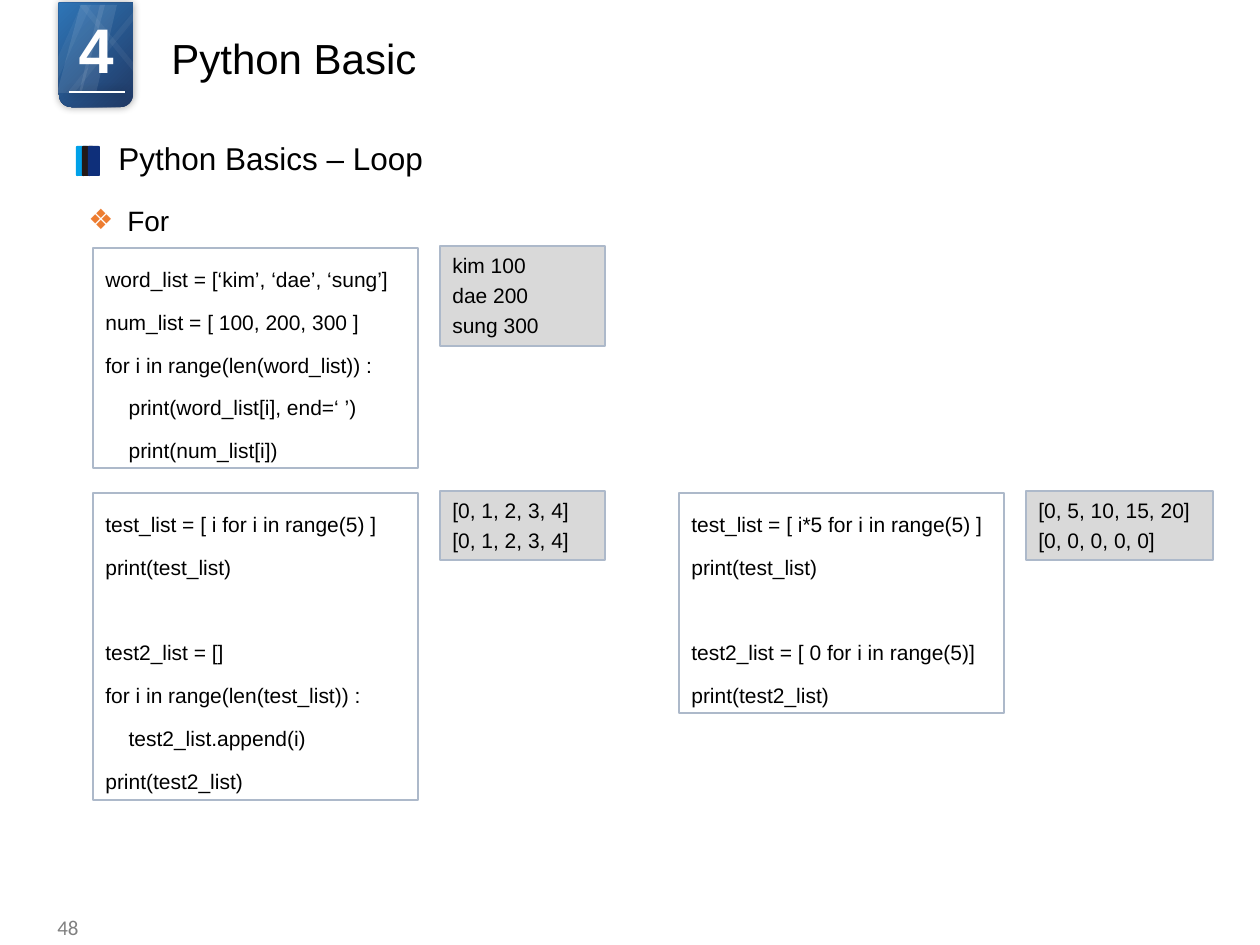
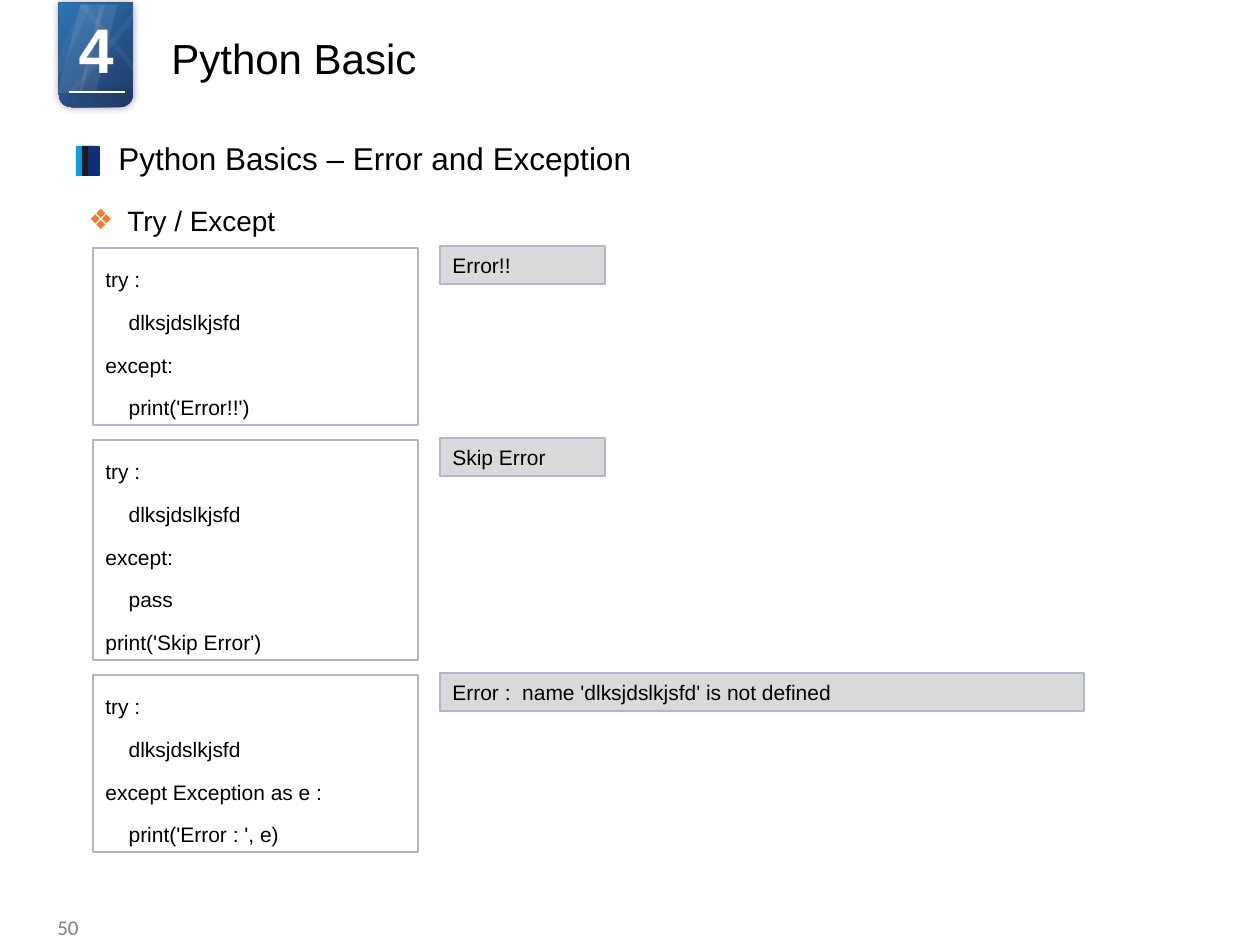
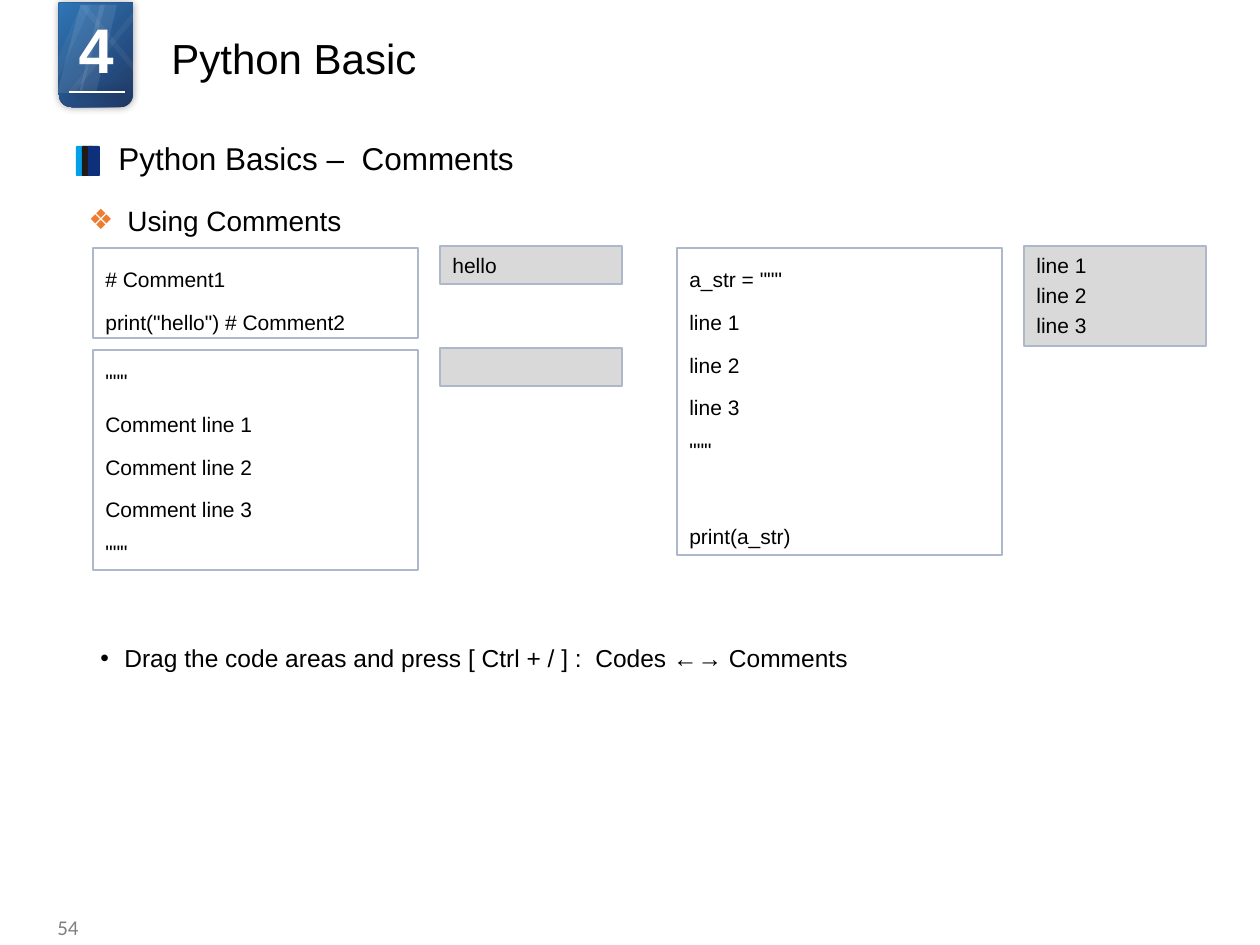
import pptx
import pptx.util
import pptx.dml.color
import pptx.enum.dml
import pptx.enum.shapes
import pptx.enum.text
import pptx.oxml.ns
from lxml import etree

CHAPTER, COURSE = "4", "Python Basic"

PAGES = [
    {
        "number": "48",
        "heading": "Python Basics – Loop",
        "topic": "For",
        "examples": [
            (93, 248, 165,
             ["word_list = [‘kim’, ‘dae’, ‘sung’]",
              "num_list = [ 100, 200, 300 ]",
              "for i in range(len(word_list)) :",
              "    print(word_list[i], end=‘ ’)",
              "    print(num_list[i])"],
             ["kim 100", "dae 200", "sung 300"]),
            (93, 493, 165,
             ["test_list = [ i for i in range(5) ]",
              "print(test_list)",
              "",
              "test2_list = []",
              "for i in range(len(test_list)) :",
              "    test2_list.append(i)",
              "print(test2_list)"],
             ["[0, 1, 2, 3, 4]", "[0, 1, 2, 3, 4]"]),
            (679, 493, 187,
             ["test_list = [ i*5 for i in range(5) ]",
              "print(test_list)",
              "",
              "test2_list = [ 0 for i in range(5)]",
              "print(test2_list)"],
             ["[0, 5, 10, 15, 20]", "[0, 0, 0, 0, 0]"]),
        ],
    },
    {
        "number": "50",
        "heading": "Python Basics – Error and Exception",
        "topic": "Try / Except",
        "examples": [
            (93, 248, 165,
             ["try :", "    dlksjdslkjsfd", "except:", "    print('Error!!')"],
             ["Error!!"]),
            (93, 440, 165,
             ["try :", "    dlksjdslkjsfd", "except:", "    pass", "print('Skip Error')"],
             ["Skip Error"]),
            (93, 675, 644,
             ["try :", "    dlksjdslkjsfd", "except Exception as e :", "    print('Error : ', e)"],
             ["Error :  name 'dlksjdslkjsfd' is not defined"]),
        ],
    },
    {
        "number": "54",
        "heading": "Python Basics –  Comments",
        "topic": "Using Comments",
        "examples": [
            (93, 248, 182, ["# Comment1", 'print("hello") # Comment2'], ["hello"]),
            (677, 248, 182,
             ['a_str = """', "line 1", "line 2", "line 3", '"""', "", "print(a_str)"],
             ["line 1", "line 2", "line 3"]),
            (93, 350, 182,
             ['"""', "Comment line 1", "Comment line 2", "Comment line 3", '"""'],
             []),
        ],
        "tip": "Drag the code areas and press [ Ctrl + / ] :  Codes ←→ Comments",
    },
]

STREAKS = [
    (57, 48, 0.49, 9, False),
    (79, 38, 0.55, 9, False),
    (67, 79, 0.91, 5, False),
    (42, 49, 0.8, 5, False),
    (79, 79, 0.91, 5, True),
]
BARS = ["00A1E9", "231916", "0E2F7A"]
BAR_LEFT, BAR_STEP = 76, 6

BORDER, OUTPUT_FILL = "ADB9CA", "D9D9D9"
CODE_WIDTH, OUTPUT_SHIFT, OUTPUT_RISE = 325, 347, 2
CODE_LINE, CODE_PAD = 43.4, 3.2
OUTPUT_LINE, OUTPUT_PAD = 31, 7

SHAPE = pptx.enum.shapes.MSO_SHAPE
ALIGN = pptx.enum.text.PP_ALIGN
ANCHOR = pptx.enum.text.MSO_ANCHOR
Pt = pptx.util.Pt
qn = pptx.oxml.ns.qn

AFTER = Pt(2.8)
STYLES = {
    "number": {"font": {"size": Pt(12), "name": "Calibri"}, "color": "808080",
               "paragraph": {"alignment": ALIGN.RIGHT},
               "frame": {"vertical_anchor": ANCHOR.MIDDLE}},
    "heading": {"font": {"size": Pt(18)}, "paragraph": {"line_spacing": 0.9},
                "frame": {"vertical_anchor": ANCHOR.MIDDLE}},
    "topic": {"font": {"size": Pt(16)}, "paragraph": {"space_after": AFTER},
              "bullet": ("❖", 39, "ED7D31")},
    "code": {"font": {"size": Pt(12)},
             "paragraph": {"line_spacing": 1.5, "space_after": AFTER, "alignment": ALIGN.LEFT}},
    "output": {"font": {"size": Pt(12)},
               "paragraph": {"space_after": AFTER, "alignment": ALIGN.LEFT}},
    "tip": {"font": {"size": Pt(14)}, "paragraph": {"line_spacing": 1.5, "space_after": AFTER},
            "bullet": ("•", 24, "000000")},
    "course": {"font": {"size": Pt(24)}},
    "chapter": {"font": {"size": Pt(36), "bold": True}, "color": "FFFFFF",
                "paragraph": {"alignment": ALIGN.CENTER}, "tracking": "-150"},
}


def px(length):
    return round(length * 914400 / 126)


def rgb(value):
    return pptx.dml.color.RGBColor.from_string(value)


def apply(target, values):
    for name, value in values.items():
        setattr(target, name, value)


def add_bullet(paragraph, mark, indent, color):
    properties = paragraph._p.get_or_add_pPr()
    properties.set("marL", str(px(indent)))
    properties.set("indent", str(-px(indent)))
    tint = etree.SubElement(properties, qn("a:buClr"))
    etree.SubElement(tint, qn("a:srgbClr"), val=color)
    etree.SubElement(properties, qn("a:buFont"), typeface="Arial")
    etree.SubElement(properties, qn("a:buChar"), char=mark)


def write(frame, lines, style):
    frame.word_wrap = True
    apply(frame, {"vertical_anchor": ANCHOR.TOP, **style.get("frame", {})})
    for index, line in enumerate(lines):
        paragraph = frame.add_paragraph() if index else frame.paragraphs[0]
        apply(paragraph, style.get("paragraph", {}))
        if "bullet" in style:
            add_bullet(paragraph, *style["bullet"])
        if not line:
            size = round(style["font"]["size"].pt * 100)
            etree.SubElement(paragraph._p, qn("a:endParaRPr"), sz=str(size))
            continue
        run = paragraph.add_run()
        run.text = line
        apply(run.font, {"name": "Arial", **style["font"]})
        run.font.color.rgb = rgb(style.get("color", "000000"))
        if "tracking" in style:
            run._r.get_or_add_rPr().set("spc", style["tracking"])


def add_text(slide, box, text, role):
    label = slide.shapes.add_textbox(*map(px, box))
    write(label.text_frame, [text], STYLES[role])


def add_block(shapes, kind, box, fill=None, line=None):
    block = shapes.add_shape(kind, *map(px, box))
    block.shadow.inherit = False
    if fill:
        block.fill.solid()
        block.fill.fore_color.rgb = rgb(fill)
    else:
        block.fill.background()
    if line:
        block.line.color.rgb = rgb(line)
        block.line.width = Pt(0.75)
    else:
        block.line.fill.background()
    return block


def add_glow(effects):
    glow = etree.SubElement(effects, qn("a:outerShdw"), blurRad=str(Pt(5)), dist="0",
                            algn="ctr", rotWithShape="0")
    tint = etree.SubElement(glow, qn("a:srgbClr"), val="000000")
    etree.SubElement(tint, qn("a:alpha"), val="40000")


def add_badge(slide):
    badge = add_block(slide.shapes, SHAPE.ROUND_2_SAME_RECTANGLE, (59, 3, 74, 104))
    badge.rotation = 180
    badge.fill.gradient()
    badge.fill.gradient_angle = 315
    for stop, (position, color) in zip(badge.fill.gradient_stops, [(0, "203864"), (1, "2E75B6")]):
        stop.position = position
        stop.color.rgb = rgb(color)
    add_glow(badge._element.spPr.find(qn("a:effectLst")))

    underline = slide.shapes.add_connector(
        pptx.enum.shapes.MSO_CONNECTOR.STRAIGHT, px(125), px(92), px(69), px(92))
    underline.line.color.rgb = rgb("FFFFFF")
    underline.line.width = Pt(1)
    add_glow(etree.SubElement(underline._element.spPr, qn("a:effectLst")))

    streaks = slide.shapes.add_group_shape()
    for left, width, slant, opacity, flipped in STREAKS:
        streak = add_block(streaks.shapes, SHAPE.PARALLELOGRAM, (left, 5, width, 88), "FFFFFF")
        streak.adjustments[0] = slant
        properties = streak._element.spPr
        tint = properties.find(qn("a:solidFill")).find(qn("a:srgbClr"))
        etree.SubElement(tint, qn("a:alpha"), val=str(opacity * 1000))
        if flipped:
            properties.find(qn("a:xfrm")).set("flipH", "1")


def add_heading_bars(slide):
    bars = slide.shapes.add_group_shape()
    for index, color in enumerate(BARS):
        box = (BAR_LEFT + index * BAR_STEP, 146, 12, 30)
        bar = add_block(bars.shapes, SHAPE.ROUNDED_RECTANGLE, box, color)
        bar.adjustments[0] = 0.1


def add_example(slide, left, top, output_width, code, output):
    code_height = round(len(code) * CODE_LINE + CODE_PAD)
    output_height = max(len(output), 1) * OUTPUT_LINE + OUTPUT_PAD
    code_box = (left, top, CODE_WIDTH, code_height)
    output_box = (left + OUTPUT_SHIFT, top - OUTPUT_RISE, output_width, output_height)
    for role, box, fill, lines in [("code", code_box, None, code),
                                   ("output", output_box, OUTPUT_FILL, output)]:
        panel = add_block(slide.shapes, SHAPE.RECTANGLE, box, fill, BORDER)
        write(panel.text_frame, lines, STYLES[role])


def add_page(deck, page):
    slide = deck.slides.add_slide(deck.slide_layouts[6])
    add_badge(slide)
    add_text(slide, (29, 914, 62, 26), page["number"], "number")
    add_heading_bars(slide)
    add_text(slide, (106, 137, 593, 47), page["heading"], "heading")
    add_text(slide, (76, 197, 483, 47), page["topic"], "topic")
    for example in page["examples"]:
        add_example(slide, *example)
    if "tip" in page:
        add_text(slide, (88, 622, 1085, 52), page["tip"], "tip")
    add_text(slide, (159, 26, 887, 72), COURSE, "course")
    add_text(slide, (62, 4, 68, 89), CHAPTER, "chapter")


def main():
    deck = pptx.Presentation()
    deck.slide_width, deck.slide_height = px(1260), px(945)
    for page in PAGES:
        add_page(deck, page)
    deck.save("out.pptx")


if __name__ == "__main__":
    main()
